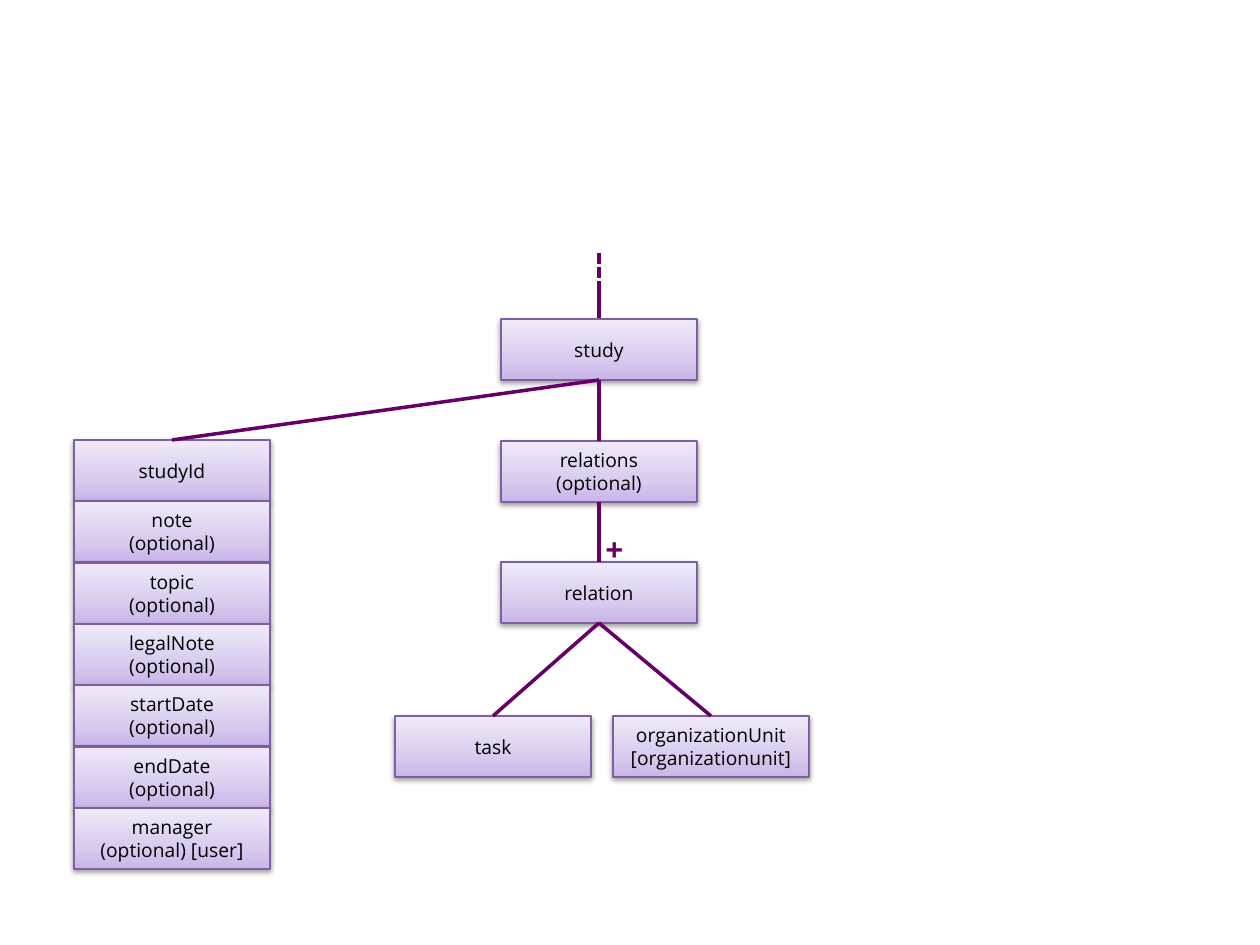
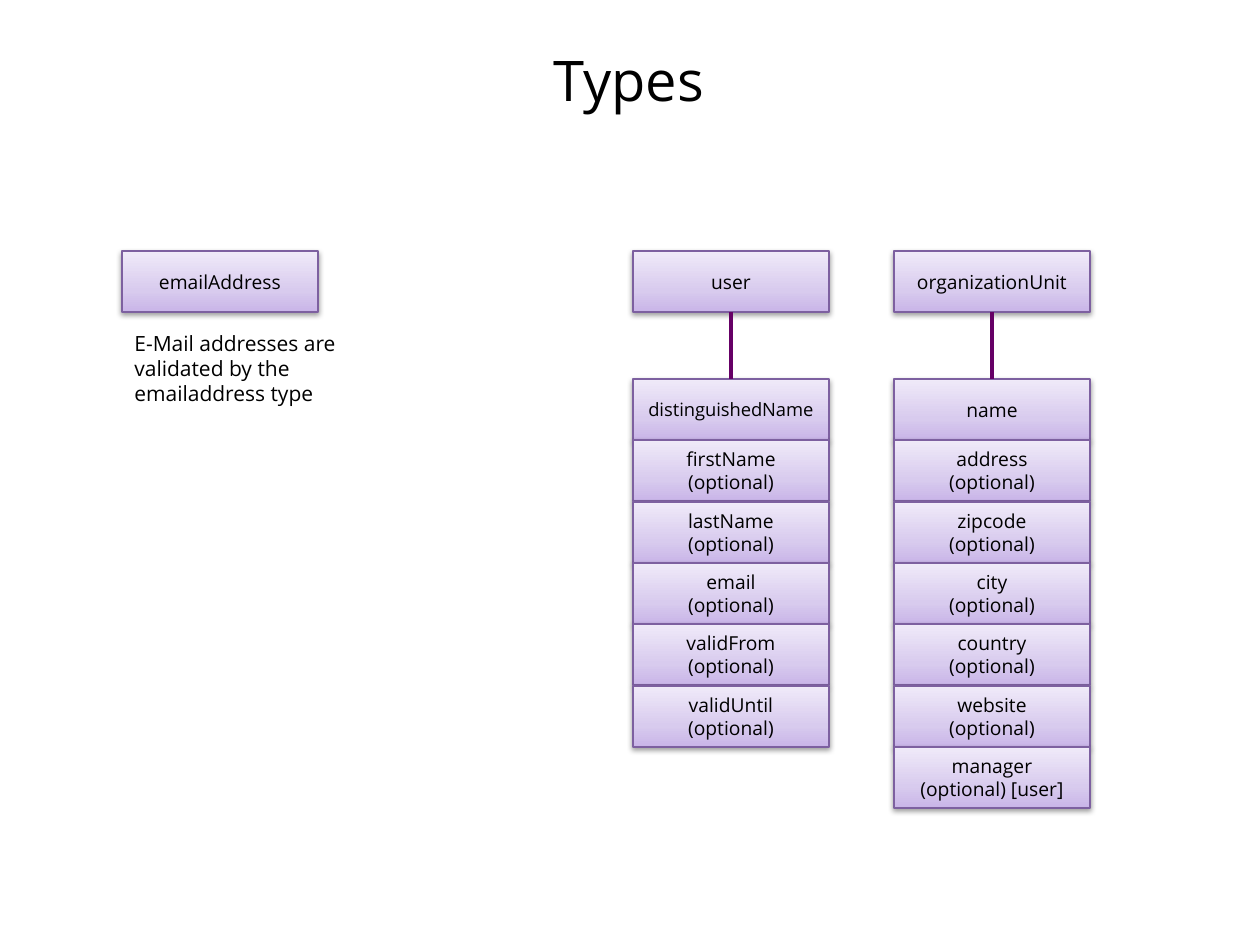
from lxml.etree import SubElement
from pptx import Presentation
from pptx.dml.color import RGBColor
from pptx.enum.dml import MSO_LINE_DASH_STYLE as Dash
from pptx.enum.shapes import MSO_CONNECTOR as Connector, MSO_SHAPE as Preset
from pptx.enum.text import MSO_ANCHOR as Anchor, MSO_AUTO_SIZE as AutoSize, PP_ALIGN as Align
from pptx.oxml.ns import qn
from pptx.util import Pt

PIXEL = 914400 // 126
SLIDE_W, SLIDE_H = 1260, 945
NODE_W, NODE_H = 196, 61
FIELD_PITCH = 61.33
FONT = "Open Sans"
COLORS = {"text": "000000", "link": "660066", "border": "7D60A0", "shadow": "000000",
          "deep": "C9B5E8", "middle": "D8CBEE", "pale": "F0EAF9"}
NODE_STOPS = {0: "deep", 35: "middle", 100: "pale"}
NODE_SHADOW = {"blurRad": 40000, "dist": 20000, "dir": 5400000, "rotWithShape": 0}
OPTIONAL = "\n(optional)"


def px(*lengths):
    """Turn pixel lengths into EMU."""
    return [round(length * PIXEL) for length in lengths]


def rgb(key):
    """Look up a colour by its role."""
    return RGBColor.from_string(COLORS[key])


def add_color(parent, key, alpha=None):
    """Append a colour element, with an optional opacity in percent."""
    color = SubElement(parent, qn("a:srgbClr"), val=COLORS[key])
    if alpha is not None:
        SubElement(color, qn("a:alpha"), val=str(alpha * 1000))


def write(frame, text, size, color="text", bold=None, align=None):
    """Fill a text frame, one paragraph for each line of the text."""
    frame.text = text
    font_format = {"name": FONT, "size": Pt(size), "bold": bold}
    for paragraph in frame.paragraphs:
        paragraph.alignment = align
        for run in paragraph.runs:
            for attribute, value in font_format.items():
                setattr(run.font, attribute, value)
            run.font.color.rgb = rgb(color)


def add_node(slide, left, top, label, size=11):
    """Draw one element of the schema and return its shape."""
    node = slide.shapes.add_shape(Preset.RECTANGLE, *px(left, top, NODE_W, NODE_H))
    node.fill.gradient()
    node.fill.gradient_angle = 90
    properties = node.element.spPr
    stops = properties.find(".//" + qn("a:gsLst"))
    stops.clear()
    for position, key in NODE_STOPS.items():
        add_color(SubElement(stops, qn("a:gs"), pos=str(position * 1000)), key)
    node.line.color.rgb = rgb("border")
    node.line.width = Pt(0.75)
    node.shadow.inherit = False
    shadow = SubElement(properties.find(qn("a:effectLst")), qn("a:outerShdw"),
                        {name: str(value) for name, value in NODE_SHADOW.items()})
    add_color(shadow, "shadow", alpha=38)
    node.text_frame.word_wrap = True
    node.text_frame.vertical_anchor = Anchor.MIDDLE
    write(node.text_frame, label, size, align=Align.CENTER)
    return node


def add_fields(slide, left, top, labels, first_size=11):
    """Stack the fields of a type and return the first one."""
    fields = [add_node(slide, left, top + round(row * FIELD_PITCH), label,
                       11 if row else first_size)
              for row, label in enumerate(labels)]
    return fields[0]


def add_line(slide, start, end, dash=None):
    """Draw a link between two points given in EMU."""
    link = slide.shapes.add_connector(Connector.STRAIGHT, *start, *end)
    link.line.color.rgb = rgb("link")
    link.line.width = Pt(2)
    if dash:
        link.line.dash_style = dash
    SubElement(link.element.spPr, qn("a:effectLst"))


def join(slide, parent, child):
    """Link the bottom of a parent to the top of its child."""
    add_line(slide, (parent.left + parent.width // 2, parent.top + parent.height),
             (child.left + child.width // 2, child.top))


def add_text(slide, box, text, size, wrap=False, **style):
    """Place free text in a box of pixels."""
    frame = slide.shapes.add_textbox(*px(*box)).text_frame
    frame.word_wrap = wrap
    frame.auto_size = AutoSize.SHAPE_TO_FIT_TEXT
    write(frame, text, size, **style)


def add_type(slide, left, top, name, labels, first_size=11):
    """Draw a named type above the stack of its fields."""
    owner = add_node(slide, left, top, name)
    join(slide, owner, add_fields(slide, left, top + 128, labels, first_size))


def build_study(slide, left, top):
    """Draw the study tree from the top left corner of its box."""
    trunk = left + 427
    axis = trunk + NODE_W // 2
    add_line(slide, px(axis, top), px(axis, top + 36), Dash.SQUARE_DOT)
    add_line(slide, px(axis, top + 36), px(axis, top + 66))
    study, relations, relation = [
        add_node(slide, trunk, top + 66 + level * 122 - (level > 1), label)
        for level, label in enumerate(["study", "relations" + OPTIONAL, "relation"])]
    optional = [name + OPTIONAL for name in
                ("note", "topic", "legalNote", "startDate", "endDate", "manager")]
    optional[-1] += " [user]"
    study_id = add_fields(slide, left, top + 187, ["studyId", *optional])
    task = add_node(slide, left + 321, top + 463, "task")
    unit = add_node(slide, left + 539, top + 463, "organizationUnit\n[organizationunit]")
    for parent, child in [(study, study_id), (study, relations), (relations, relation),
                          (relation, task), (relation, unit)]:
        join(slide, parent, child)
    add_text(slide, (axis - 6, top + 271, 44, 50), "+", 18, color="link", bold=True)


def build_types(slide, left, top):
    """Draw the title and the three types from the top left corner of their box."""
    add_text(slide, (541, 39, 179, 81), "Types", 32)
    add_node(slide, left, top, "emailAddress")
    add_text(slide, (left, top + 73, 284, 89),
             "E-Mail addresses are validated by the emailaddress type", 12, wrap=True)
    person = [name + OPTIONAL for name in
              ("firstName", "lastName", "email", "validFrom", "validUntil")]
    add_type(slide, left + 511, top, "user", ["distinguishedName", *person], 10.5)
    unit = [name + OPTIONAL for name in
            ("address", "zipcode", "city", "country", "website", "manager")]
    unit[-1] += " [user]"
    add_type(slide, left + 772, top, "organizationUnit", ["name", *unit])


def main():
    """Build both slides and save them."""
    deck = Presentation()
    deck.slide_width, deck.slide_height = px(SLIDE_W, SLIDE_H)
    blank = deck.slide_layouts[6]
    for build, left, top in [(build_study, 74, 253), (build_types, 122, 251)]:
        build(deck.slides.add_slide(blank), left, top)
    deck.save("out.pptx")


main()
